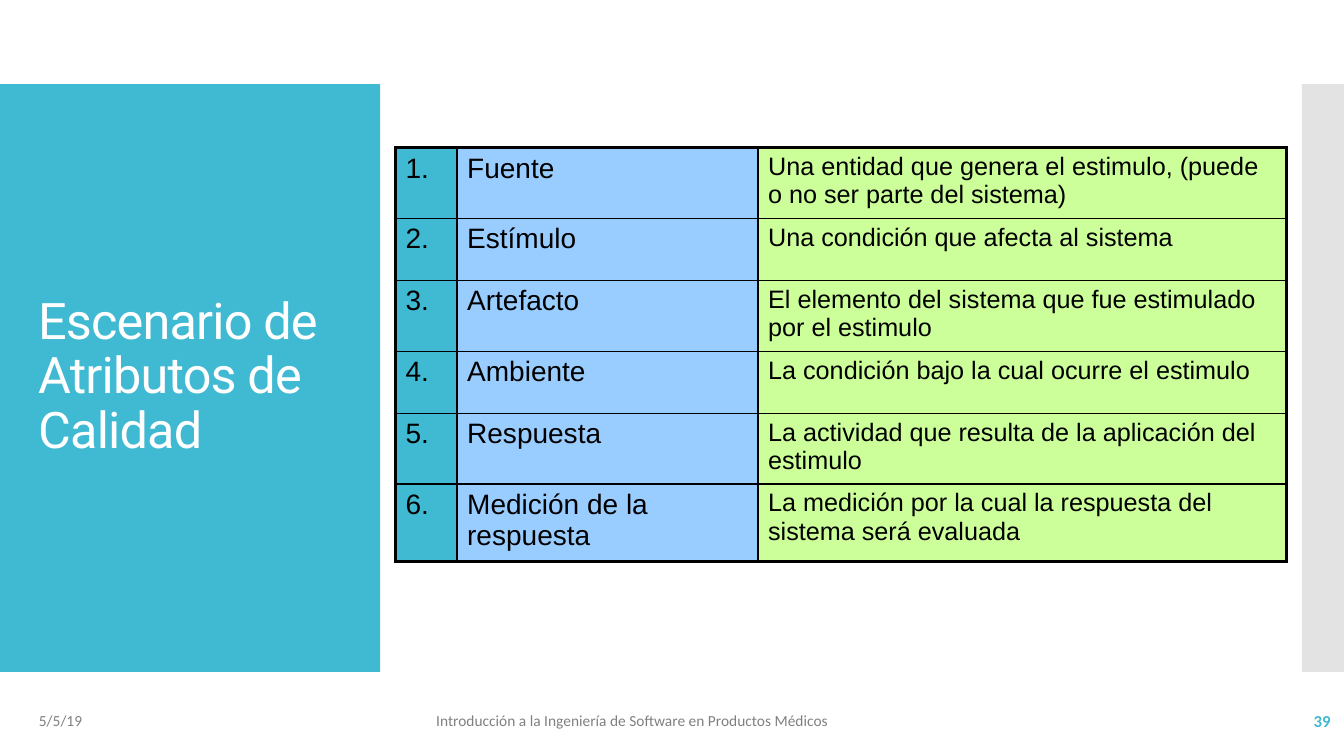
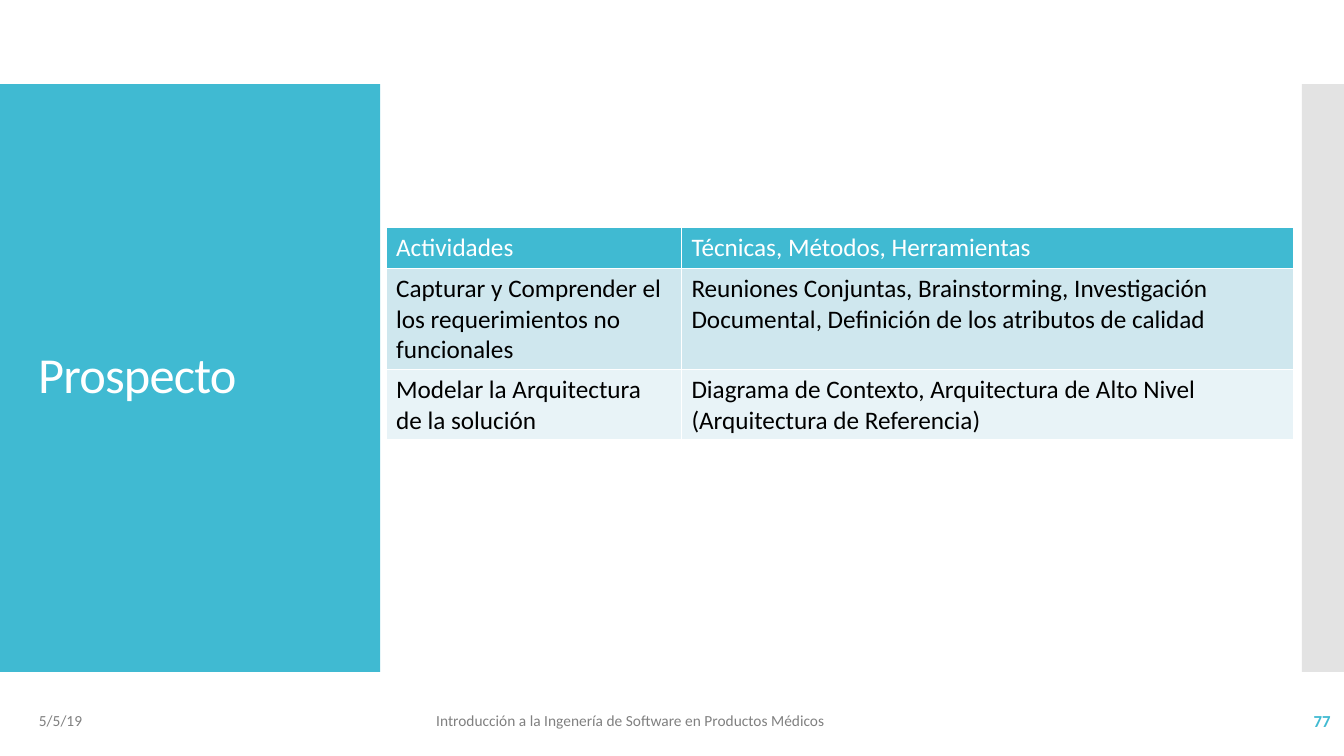
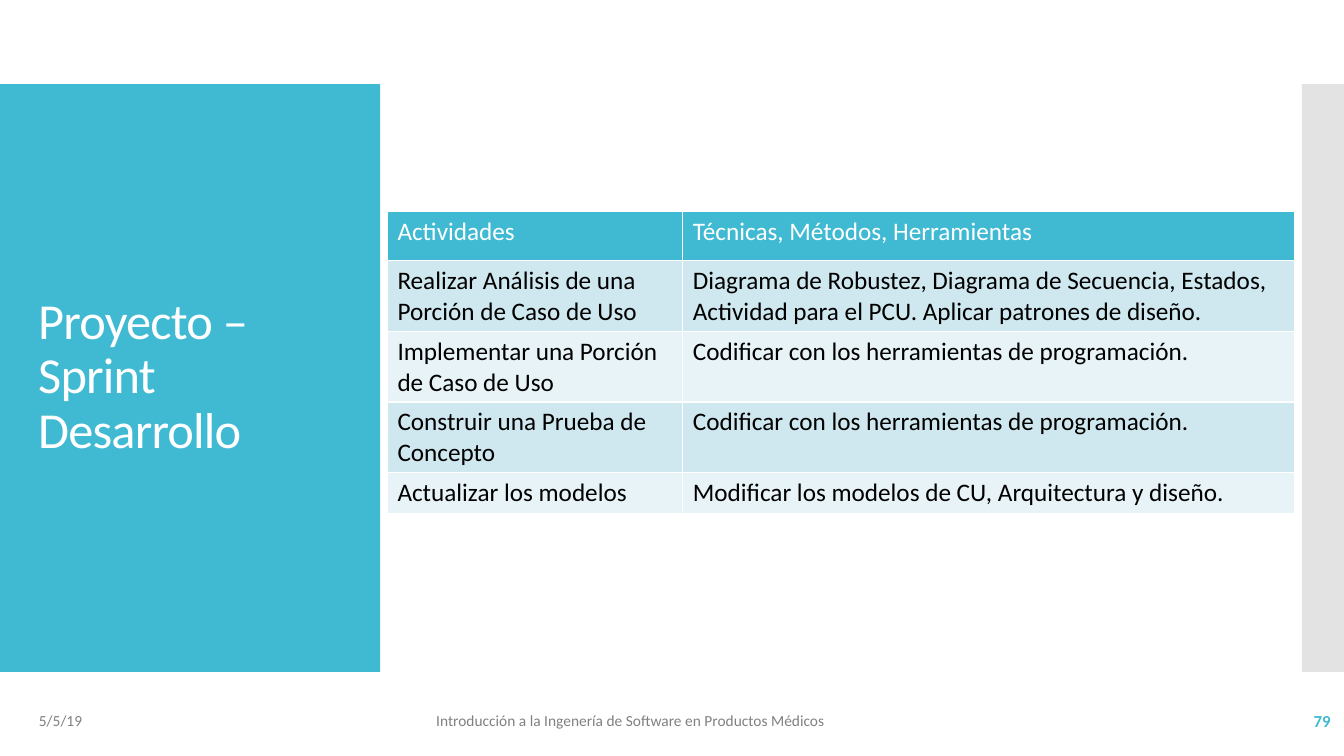
from lxml import etree
from pptx import Presentation
from pptx.dml.color import RGBColor
from pptx.enum import shapes, text
from pptx.oxml import ns
from pptx.util import Pt

TEAL = RGBColor(0x40, 0xBA, 0xD2)
GREY = RGBColor(0xC8, 0xC8, 0xC8)
DIM = RGBColor(0x80, 0x80, 0x80)
WHITE = RGBColor(0xFF, 0xFF, 0xFF)
BLACK = RGBColor(0, 0, 0)
BLUE = RGBColor(0x99, 0xCC, 0xFF)
LIME = RGBColor(0xCC, 0xFF, 0x99)
PALE = RGBColor(0xCF, 0xE7, 0xEE)
MIST = RGBColor(0xE8, 0xF3, 0xF7)

SMALL = {"name": "Calibri", "size": Pt(11)}
PAGE = {"name": "Calibri", "size": Pt(12), "bold": True}
LEFT, RIGHT = text.PP_ALIGN.LEFT, text.PP_ALIGN.RIGHT
HEAD = ("Actividades", "Técnicas, Métodos, Herramientas")
FOOT = "Introducción a la Ingenería de Software en Productos Médicos"

# Left, width, colour and opacity in percent
BANDS = [(0, 271.5, TEAL, 100), (930, 30, GREY, 50)]

DECK = [
    {"title": "Escenario de Atributos de Calidad", "face": "Roboto", "page": "39",
     "foot": "Introducción a la Ingeniería de Software en Productos Médicos",
     "at": (282.5, 105.5), "cols": (44, 215, 377.5), "top": 44.5, "high": 44.5,
     "font": "Arial", "sizes": (20, 20, 18), "gap": 1,
     "line": BLACK, "edge": 2.25, "fills": (TEAL, BLUE, LIME),
     "rows": [
         ("1.", "Fuente", "Una entidad que genera el estimulo, (puede o no ser parte del sistema)"),
         ("2.", "Estímulo", "Una condición que afecta al sistema"),
         ("3.", "Artefacto", "El elemento del sistema que fue estimulado por el estimulo"),
         ("4.", "Ambiente", "La condición bajo la cual ocurre el estimulo"),
         ("5.", "Respuesta", "La actividad que resulta de la aplicación del estimulo"),
         ("6.", "Medición de la respuesta",
          "La medición por la cual la respuesta del sistema será evaluada")]},
    {"title": "Prospecto", "page": "77", "at": (275.75, 162.75), "top": 29,
     "rows": [
         HEAD,
         ("Capturar y Comprender el los requerimientos no funcionales",
          "Reuniones Conjuntas, Brainstorming, Investigación Documental, "
          "Definición de los atributos de calidad"),
         ("Modelar la Arquitectura de la solución",
          "Diagrama de Contexto, Arquitectura de Alto Nivel (Arquitectura de Referencia)")]},
    {"title": "Proyecto – Sprint Desarrollo", "page": "79", "at": (276.75, 151.25), "top": 35,
     "rows": [
         HEAD,
         ("Realizar Análisis de una Porción de Caso de Uso",
          "Diagrama de Robustez, Diagrama de Secuencia, Estados, "
          "Actividad para el PCU. Aplicar patrones de diseño."),
         ("Implementar una Porción de Caso de Uso",
          "Codificar con los herramientas de programación."),
         ("Construir una Prueba de Concepto",
          "Codificar con los herramientas de programación."),
         ("Actualizar los modelos", "Modificar los modelos de CU, Arquitectura y diseño.")]},
]
BASE = {"face": "Calibri", "foot": FOOT, "cols": (211, 437), "high": 29.5,
        "font": "Calibri", "sizes": (18, 18), "gap": 0,
        "line": WHITE, "edge": 1, "fills": None}


def write(frame, words, font, color, para=None):
    """Fill a text frame with one formatted paragraph and return its run."""
    frame.word_wrap = True
    line = frame.paragraphs[0]
    for key, val in (para or {}).items():
        setattr(line, key, val)
    run = line.add_run()
    run.text = words
    for key, val in font.items():
        setattr(run.font, key, val)
    run.font.color.rgb = color
    return run


def rule(cell, side, width, color):
    """Draw one border of a table cell; side is L, R, T or B."""
    line = etree.SubElement(cell._tc.get_or_add_tcPr(), ns.qn("a:ln" + side), w=str(Pt(width)))
    fill = etree.SubElement(line, ns.qn("a:solidFill"))
    etree.SubElement(fill, ns.qn("a:srgbClr"), val=str(color))


prs = Presentation()
prs.slide_width, prs.slide_height = Pt(960), Pt(540)

for part in DECK:
    page = {**BASE, **part}
    slide = prs.slides.add_slide(prs.slide_layouts[6])

    for left, width, color, alpha in BANDS:
        band = slide.shapes.add_shape(
            shapes.MSO_SHAPE.RECTANGLE, Pt(left), Pt(60), Pt(width), Pt(420))
        band.shadow.inherit = False
        band.line.fill.background()
        band.fill.solid()
        band.fill.fore_color.rgb = color
        if alpha < 100:
            tint = band._element.spPr.find(".//" + ns.qn("a:srgbClr"))
            etree.SubElement(tint, ns.qn("a:alpha"), val=str(alpha * 1000))

    big = {"name": page["face"], "size": Pt(36)}
    boxes = [
        (page["title"], (20.25, 88.5, 232, 362), big, WHITE, {"line_spacing": 0.9}),
        ("5/5/19", (20.75, 500.5, 216, 28.75), SMALL, DIM, {"alignment": LEFT}),
        (page["foot"], (304.5, 500.5, 465, 28.75), SMALL, DIM, {"alignment": LEFT}),
        (page["page"], (837.5, 500.5, 120, 28.75), PAGE, TEAL, {"alignment": RIGHT}),
    ]
    for words, place, font, color, para in boxes:
        frame = slide.shapes.add_textbox(*map(Pt, place)).text_frame
        frame.vertical_anchor = text.MSO_ANCHOR.MIDDLE
        run = write(frame, words, font, color, para)
        if font is big:
            run._r.get_or_add_rPr().set("spc", "-60")

    rows, cols = page["rows"], page["cols"]
    highs = [page["top"]] + [page["high"]] * (len(rows) - 1)
    size = (sum(cols), sum(highs))
    grid = slide.shapes.add_table(len(rows), len(cols), *map(Pt, page["at"] + size)).table
    grid.first_row = grid.horz_banding = False
    for col, width in zip(grid.columns, cols):
        col.width = Pt(width)
    for row, high in zip(grid.rows, highs):
        row.height = Pt(high)

    for r, row in enumerate(rows):
        for c, words in enumerate(row):
            cell = grid.cell(r, c)
            outer = {"L": c == 0, "R": c == len(cols) - 1,
                     "T": r == 0, "B": r == len(rows) - 1}
            for side, edge in outer.items():
                rule(cell, side, page["edge"] if edge else 1, page["line"])
            head = row is HEAD
            if page["fills"]:
                fill = page["fills"][c]
            else:
                fill = TEAL if head else (MIST, PALE)[r % 2]
            cell.fill.solid()
            cell.fill.fore_color.rgb = fill
            font = {"name": page["font"], "size": Pt(page["sizes"][c])}
            write(cell.text_frame, words, font, WHITE if head else BLACK,
                  {"space_before": Pt(page["gap"])})

prs.save("out.pptx")
